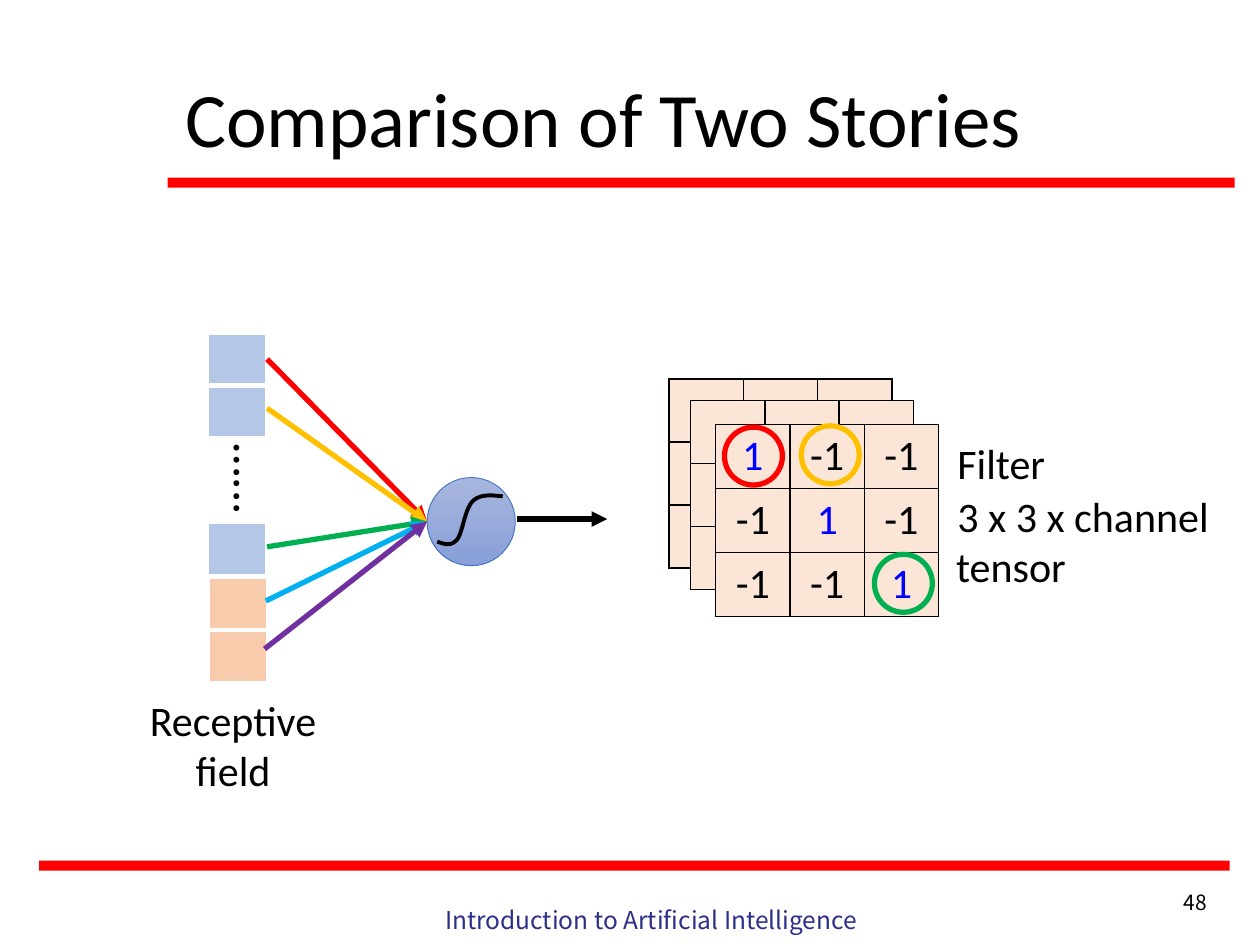
from lxml.etree import SubElement
from pptx import Presentation
from pptx.dml.color import RGBColor
from pptx.enum.shapes import MSO_CONNECTOR, MSO_SHAPE
from pptx.enum.text import MSO_ANCHOR, PP_ALIGN
from pptx.oxml.ns import qn
from pptx.util import Inches, Pt

# Content
TITLE = "Comparison of Two Stories"
BODY_FONT, FOOTER_FONT = "Calibri", "Noto Sans CJK SC"
BLACK, WHITE, RED, YELLOW, GREEN = "000000", "FFFFFF", "FF0000", "FFC000", "00B050"
BLUE_FIELD, ORANGE_FIELD, FILTER_FILL = "B4C7E7", "F8CBAD", "FBE5D6"

RULES = [(0.31, 6.83, 9.45, 0.08), (1.33, 1.41, 8.47, 0.08)]
# text, box, size, font, colour, alignment, rotation
LABELS = [
    ("Introduction to Artificial Intelligence", (3.04, 7.13, 4.26, 0.52), 14, FOOTER_FONT, "2D2D8A", PP_ALIGN.CENTER, 0),
    ("48", (8.58, 7.01, 1.1, 0.24), 12, FOOTER_FONT, BLACK, PP_ALIGN.RIGHT, 0),
    ("Filter", (7.5, 3.42, 1.58, 0.5), 24, BODY_FONT, BLACK, PP_ALIGN.LEFT, 0),
    ("3 x 3 x channel", (7.5, 3.84, 2.34, 0.5), 24, BODY_FONT, BLACK, PP_ALIGN.LEFT, 0),
    ("tensor", (7.49, 4.24, 1.34, 0.5), 24, BODY_FONT, BLACK, PP_ALIGN.LEFT, 0),
    ("…...", (1.6, 3.55, 0.82, 0.57), 28, BODY_FONT, BLACK, PP_ALIGN.LEFT, 90),
    ("Receptive field", (1.08, 5.46, 1.54, 0.91), 24, BODY_FONT, BLACK, PP_ALIGN.CENTER, 0),
]
FILTER_VALUES = [["1", "-1", "-1"], ["-1", "1", "-1"], ["-1", "-1", "1"]]
BLANK_CHANNEL = [[""] * 3] * 3
# left, top, values
CHANNELS = [(5.31, 3.01, BLANK_CHANNEL), (5.48, 3.18, BLANK_CHANNEL), (5.68, 3.37, FILTER_VALUES)]
# left, top, number of cells, fill
FIELD_PARTS = [(1.65, 2.65, 2, BLUE_FIELD), (1.65, 4.15, 1, BLUE_FIELD), (1.66, 4.59, 2, ORANGE_FIELD)]
# start of each weight arrow and its colour
WEIGHTS = [((2.12, 2.85), RED), ((2.12, 3.24), YELLOW), ((2.12, 4.34), GREEN),
           ((2.11, 4.77), "00B0F0"), ((2.1, 5.15), "7030A0")]
NEURON_INPUT = (3.39, 4.14)
WEIGHT_RINGS = [(5.75, 3.39, RED), (6.36, 3.38, YELLOW), (6.94, 4.4, GREEN)]
SIGMOID = [(3.99, 3.94), (3.9, 3.93), (3.81, 3.92), (3.75, 3.98), (3.69, 4.04),
           (3.67, 4.23), (3.63, 4.28), (3.58, 4.34), (3.53, 4.32), (3.47, 4.3)]


def rgb(value):
    return RGBColor.from_string(value)


def inches(values):
    return [Inches(value) for value in values]


def style_text(paragraph, size, font, colour, alignment):
    paragraph.alignment = alignment
    paragraph.font.size, paragraph.font.name = Pt(size), font
    paragraph.font.color.rgb = rgb(colour)


def style_line(shape, colour, width):
    shape.line.color.rgb = rgb(colour)
    shape.line.width = Pt(width)


def add_label(slide, text, box, size, font, colour, alignment, rotation):
    label = slide.shapes.add_textbox(*inches(box))
    label.rotation = rotation
    label.text_frame.word_wrap = True
    label.text_frame.text = text
    style_text(label.text_frame.paragraphs[0], size, font, colour, alignment)


def add_preset(slide, preset, box):
    shape = slide.shapes.add_shape(preset, *inches(box))
    shape.shadow.inherit = False
    return shape


def add_arrow(slide, start, end, colour):
    arrow = slide.shapes.add_connector(MSO_CONNECTOR.STRAIGHT, *inches(start + end))
    style_line(arrow, colour, 3)
    SubElement(arrow.line._get_or_add_ln(), qn("a:tailEnd"), type="triangle")
    SubElement(arrow._element.spPr, qn("a:effectLst"))


def set_borders(cell, colour, widths):
    properties = cell._tc.get_or_add_tcPr()
    for side, width in zip("LRTB", widths):
        line = SubElement(properties, qn(f"a:ln{side}"), w=str(Pt(width)))
        fill = SubElement(line, qn("a:solidFill"))
        SubElement(fill, qn("a:srgbClr"), val=colour)


def add_grid(slide, left, top, values, cell_width, cell_height, fill, border, inner=1):
    rows, columns = len(values), len(values[0])
    box = inches((left, top, columns * cell_width, rows * cell_height))
    table = slide.shapes.add_table(rows, columns, *box).table
    table.first_row = table.horz_banding = False
    for r, row in enumerate(values):
        table.rows[r].height = Inches(cell_height)
        for c, value in enumerate(row):
            cell = table.cell(r, c)
            set_borders(cell, border, (1, 1, inner if r else 1, inner if r < rows - 1 else 1))
            cell.fill.solid()
            cell.fill.fore_color.rgb = rgb(fill)
            if value:
                cell.text = value
                style_text(cell.text_frame.paragraphs[0], 24, BODY_FONT,
                           "0000FF" if value == "1" else BLACK, PP_ALIGN.CENTER)
            else:
                cell.text_frame.paragraphs[0].font.size = Pt(12)
    for column in table.columns:
        column.width = Inches(cell_width)


def bezier_points(controls, steps=16):
    points = [controls[0]]
    for i in range(0, len(controls) - 1, 3):
        for step in range(1, steps + 1):
            t = step / steps
            weights = ((1 - t) ** 3, 3 * t * (1 - t) ** 2, 3 * t * t * (1 - t), t ** 3)
            points.append(tuple(sum(w * p[axis] for w, p in zip(weights, controls[i:i + 4]))
                                for axis in (0, 1)))
    return points


def add_neuron(slide):
    body = add_preset(slide, MSO_SHAPE.OVAL, (3.39, 3.79, 0.7, 0.7))
    body.fill.gradient()
    body.fill.gradient_angle = 270
    for stop, position, colour in zip(body.fill.gradient_stops, (0, 1), ("A8B7DF", "889ED7")):
        stop.position, stop.color.rgb = position, rgb(colour)
    style_line(body, "4472C4", 0.5)
    first, *rest = [tuple(inches(point)) for point in bezier_points(SIGMOID)]
    builder = slide.shapes.build_freeform(*first)
    builder.add_line_segments(rest, close=False)
    curve = builder.convert_to_shape()
    curve.shadow.inherit = False
    curve.fill.background()
    style_line(curve, BLACK, 2.25)


def main():
    deck = Presentation()
    deck.slide_width, deck.slide_height = inches((10, 7.5))
    slide = deck.slides.add_slide(deck.slide_layouts[5])

    # Title and red rules
    title = slide.shapes.title
    title.left, title.top, title.width, title.height = inches((1.37, 0.25, 8.62, 1.45))
    title.text_frame.text = TITLE
    title.text_frame.vertical_anchor = MSO_ANCHOR.MIDDLE
    heading = title.text_frame.paragraphs[0]
    heading.line_spacing = 0.9
    style_text(heading, 44, BODY_FONT, BLACK, PP_ALIGN.LEFT)
    for box in RULES:
        rule = add_preset(slide, MSO_SHAPE.RECTANGLE, box)
        rule.fill.solid()
        rule.fill.fore_color.rgb = rgb(RED)
        rule.line.fill.background()

    # Receptive field and neuron
    for left, top, count, fill in FIELD_PARTS:
        add_grid(slide, left, top, [[""]] * count, 0.46, 0.41, fill, WHITE, inner=3)
    add_neuron(slide)
    add_arrow(slide, (4.1, 4.12), (4.82, 4.12), BLACK)
    for start, colour in WEIGHTS:
        add_arrow(slide, start, NEURON_INPUT, colour)

    # Filter channels with the shared weights ringed
    for left, top, values in CHANNELS:
        add_grid(slide, left, top, values, 0.59, 0.5, FILTER_FILL, BLACK)
    for left, top, colour in WEIGHT_RINGS:
        ring = add_preset(slide, MSO_SHAPE.OVAL, (left, top, 0.46, 0.46))
        ring.fill.background()
        style_line(ring, colour, 3)

    # Labels and footer
    for label in LABELS:
        add_label(slide, *label)

    deck.save("out.pptx")


if __name__ == "__main__":
    main()
